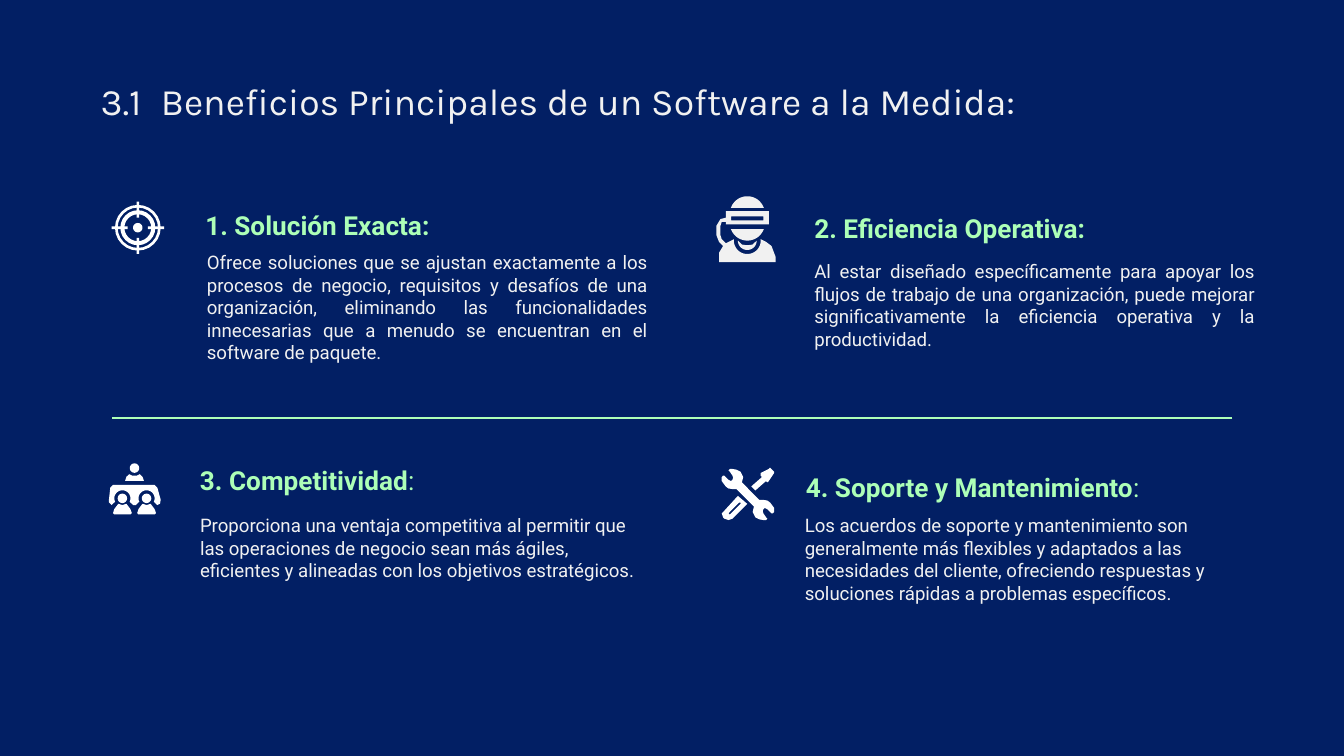
from math import cos, radians, sin

from lxml.etree import SubElement
from pptx import Presentation
from pptx.dml.color import RGBColor
from pptx.enum.shapes import MSO_CONNECTOR
from pptx.enum.text import MSO_ANCHOR, MSO_AUTO_SIZE, PP_ALIGN
from pptx.oxml.ns import qn
from pptx.util import Cm, Pt

NAVY = RGBColor(0x02, 0x1F, 0x64)
MINT = RGBColor(0xAD, 0xFF, 0xB7)
PALE = RGBColor(0xF1, 0xF1, 0xF1)
WHITE = RGBColor(0xFF, 0xFF, 0xFF)
ICON_UNIT = Cm(2.54) / 100
INSET = Cm(0.25)


def arc(x, y, radius, start=0, end=360):
    """Points along an arc; angles in degrees, clockwise from the right."""
    steps = 24
    angles = [radians(start + (end - start) * i / steps) for i in range(steps + 1)]
    return [(x + radius * cos(a), y + radius * sin(a)) for a in angles]


def format_text(frame, anchor, align, indent, size, color, font):
    frame.word_wrap = True
    frame.auto_size = MSO_AUTO_SIZE.NONE
    frame.vertical_anchor = anchor
    frame.margin_left = frame.margin_right = INSET
    frame.margin_top = frame.margin_bottom = INSET
    paragraph = frame.paragraphs[0]
    paragraph.alignment = align
    paragraph.space_before = Pt(0)
    properties = paragraph._p.get_or_add_pPr()
    properties.set("marL", str(Cm(indent)))
    properties.set("indent", "0")
    SubElement(properties, qn("a:buNone"))
    for run in paragraph.runs:
        run.font.name = font
        run.font.size = Pt(size)
        run.font.bold = False
        run.font.color.rgb = color


prs = Presentation()
prs.slide_width, prs.slide_height = Cm(25.4), Cm(14.29)
slide = prs.slides.add_slide(prs.slide_layouts.get_by_name("Comparison"))
slide.background.fill.solid()
slide.background.fill.fore_color.rgb = NAVY
for footer in [p for p in slide.placeholders if p.placeholder_format.idx >= 10]:
    footer._element.getparent().remove(footer._element)

# Title, its number hanging before the words
title = slide.shapes.title
title.left, title.top, title.width, title.height = Cm(1.65), Cm(1.22), Cm(23.98), Cm(1.6)
title.text_frame.text = "3.1\tBeneficios Principales de un Software a la Medida:"
format_text(title.text_frame, MSO_ANCHOR.TOP, PP_ALIGN.JUSTIFY, 1.14, 20, PALE, "Karla")
title.text_frame.paragraphs[0]._p.pPr.set("indent", str(-Cm(1.14)))

# Benefits: heading runs, heading box, heading indent, description, its box, alignment
benefits = [
    (["1. Solución Exacta:"], (2.36, 3.05, 11.35, 1.75), 1.27,
     "Ofrece soluciones que se ajustan exactamente a los procesos de negocio, requisitos y "
     "desafíos de una organización, eliminando las funcionalidades innecesarias que a menudo "
     "se encuentran en el software de paquete.",
     (3.23, 4.5, 9.25, 3.35), PP_ALIGN.JUSTIFY),
    (["2. Eficiencia Operativa:"], (14.71, 3.61, 8.46, 1.24), 0.43,
     "Al estar diseñado específicamente para apoyar los flujos de trabajo de una "
     "organización, puede mejorar significativamente la eficiencia operativa y la "
     "productividad.",
     (14.71, 4.67, 9.25, 3), PP_ALIGN.JUSTIFY),
    (["3. Competitividad", ":"], (3.1, 8.38, 8.46, 1.24), 0.43,
     "Proporciona una ventaja competitiva al permitir que las operaciones de negocio sean "
     "más ágiles, eficientes y alineadas con los objetivos estratégicos.",
     (3.1, 9.47, 9.4, 3.56), PP_ALIGN.LEFT),
    (["4. Soporte y Mantenimiento", ":"], (14.55, 8.51, 8.46, 1.24), 0.43,
     "Los acuerdos de soporte y mantenimiento son generalmente más flexibles y adaptados a "
     "las necesidades del cliente, ofreciendo respuestas y soluciones rápidas a problemas "
     "específicos.",
     (14.53, 9.47, 9.58, 3), PP_ALIGN.LEFT),
]
descriptions = [p for p in slide.placeholders if p.placeholder_format.idx > 0]
for description, benefit in zip(descriptions, benefits):
    heading_runs, heading_box, indent, words, box, align = benefit
    heading = slide.shapes.add_textbox(*map(Cm, heading_box)).text_frame
    for part in heading_runs:
        heading.paragraphs[0].add_run().text = part
    format_text(heading, MSO_ANCHOR.BOTTOM, PP_ALIGN.JUSTIFY, indent, 14, MINT, "Roboto")
    heading.paragraphs[0].runs[0].font.bold = True

    description.left, description.top, description.width, description.height = map(Cm, box)
    description.text_frame.text = words
    format_text(description.text_frame, MSO_ANCHOR.TOP, align, 0.43, 10, PALE, "Roboto")

divider = slide.shapes.add_connector(
    MSO_CONNECTOR.STRAIGHT, Cm(23.29), Cm(7.9), Cm(2.11), Cm(7.9))
divider.line.color.rgb = MINT
divider.line.width = Pt(0.75)
SubElement(divider._element.spPr, qn("a:effectLst"))

# Icons: each outline is a list of contours, an inner contour being a hole
target = [
    [arc(19.5, 19.5, 3.5)],
    [arc(19.5, 19.5, radius) for radius in (17, 15, 13, 10)],
    [[(18.5, 0), (20.5, 0), (20.5, 12), (18.5, 12)],
     [(18.5, 27), (20.5, 27), (20.5, 39), (18.5, 39)],
     [(0, 18.5), (12, 18.5), (12, 20.5), (0, 20.5)],
     [(27, 18.5), (39, 18.5), (39, 20.5), (27, 20.5)]],
]
headset = [
    [arc(23, 13, 13, 200, 340)],
    [arc(23, 20, 13, 20, 160)],
    [arc(23, 33, 7, 0, 180) + [(19, 36), (23, 36.5), (27, 36)]],
    [arc(23, 33, 10, 0, 180)
     + [(13, 32), (7, 35), (4, 32), (3, 29), (3, 22), (4, 19), (7, 19), (7, 21), (39, 21),
        (39, 11), (7, 11), (7, 16), (3, 17), (0, 22), (0, 29), (2, 34), (5, 37), (2, 42),
        (2, 49), (44, 49), (44, 45), (41, 37), (37, 34), (33, 32)],
     [(11, 15), (35, 15), (35, 18), (11, 18)]],
]
member = [(7, 30), (10, 31), (13, 30), (16, 34), (17, 37), (16, 38), (4, 38), (3, 37), (4, 34)]
team = [
    [arc(19, 3.5, 3.5)],
    [arc(10, 26, 3.5)],
    [arc(28, 26, 3.5)],
    [[(12, 13), (13, 10), (15, 8), (17, 9), (21, 9), (23, 8), (25, 10), (26, 13)]],
    [[(3, 16), (34, 16), (36, 18), (38.5, 27), (38, 30), (36, 31)]
     + arc(28, 26, 6, 25, -205) + [(20, 31), (18, 31)]
     + arc(10, 26, 6, 25, -205) + [(2, 31), (0, 29), (0, 27), (1, 18)]],
    [member],
    [[(x + 18, y) for x, y in member]],
]
wrench_end = [(15, 11), (16, 7), (14, 3), (11, 1.5), (8, 1), (6, 1), (5, 2), (6, 3), (8, 6),
              (8.5, 7.5), (8, 9), (7, 10), (5, 9), (2, 6), (1, 6), (0, 7), (0, 10), (3, 14),
              (5, 15.5), (8, 16), (11, 16)]
tools = [
    [wrench_end + [(39 - x, 40 - y) for x, y in wrench_end]],
    [[(12, 21), (2, 32), (0, 34), (1, 37), (2, 38), (5, 39), (8, 38), (19, 27)],
     [(13, 26), (14, 26), (14, 27), (7, 34), (6, 35), (5, 34), (6, 33)]],
    [[(36, 0), (35, 1), (29, 4), (29, 6), (30, 7), (22, 14), (25, 17), (33, 10), (34, 11),
      (35, 10), (39, 4), (39, 3), (37, 1)]],
]
icons = [(target, 2.11, 3.81, WHITE), (headset, 13.54, 3.71, PALE),
         (team, 2.06, 8.76, WHITE), (tools, 13.64, 8.84, WHITE)]
for outlines, left, top, color in icons:
    icon = slide.shapes.add_group_shape()
    for contours in outlines:
        scaled = [[(x * ICON_UNIT, y * ICON_UNIT) for x, y in c] for c in contours]
        builder = icon.shapes.build_freeform(*scaled[0][0])
        builder.add_line_segments(scaled[0][1:])
        for hole in scaled[1:]:
            builder.move_to(*hole[0])
            builder.add_line_segments(hole[1:])
        piece = builder.convert_to_shape()
        piece.shadow.inherit = False
        piece.fill.solid()
        piece.fill.fore_color.rgb = color
        piece.line.fill.background()
    icon.left, icon.top = Cm(left), Cm(top)

prs.save("out.pptx")
